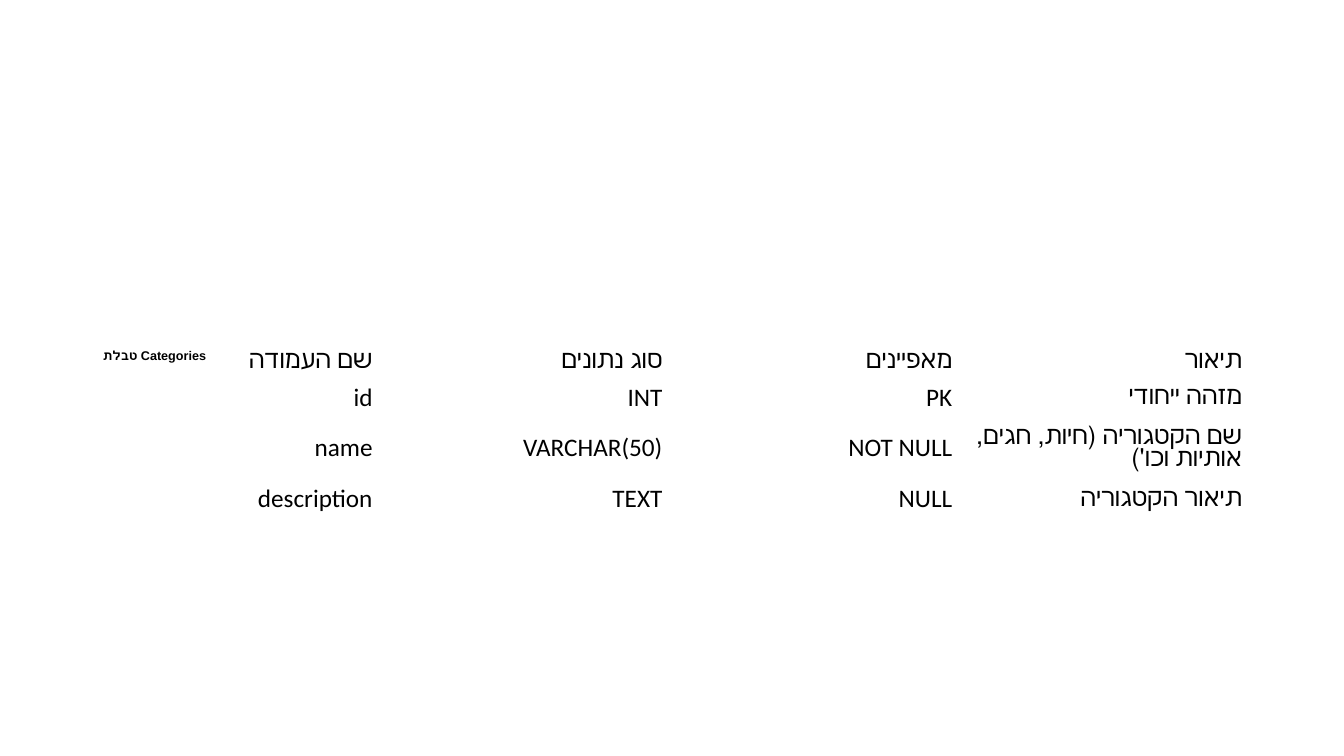
import pptx
import pptx.dml.color
import pptx.enum.text
import pptx.util

Inches = pptx.util.Inches
Points = pptx.util.Pt
COLORS = {"text": "000000"}
LEFT, TOP = 0.92, 3.43
TABLE_WIDTH = 11.5
ROW_HEIGHTS = (0.32, 0.38, 0.63, 0.38)
CATEGORY_ROWS = (
    ("שם העמודה", "סוג נתונים", "מאפיינים", "תיאור"),
    ("id", "INT", "PK", "מזהה ייחודי"),
    ("name", "VARCHAR(50)", "NOT NULL", "שם הקטגוריה (חיות, חגים, אותיות וכו')"),
    ("description", "TEXT", "NULL", "תיאור הקטגוריה"),
)


def format_paragraph(paragraph, font_name, size, bold=False):
    """Apply one font to every run of a paragraph."""
    for run in paragraph.runs:
        run.font.name = font_name
        run.font.size = Points(size)
        run.font.bold = bold
        run.font.color.rgb = pptx.dml.color.RGBColor.from_string(COLORS["text"])


def add_title(slide, text):
    """Place the small title beside the table's top left corner."""
    title = slide.shapes.title
    title.left, title.top = Inches(LEFT), Inches(TOP)
    title.width, title.height = Inches(13.33), Inches(0.5)
    text_frame = title.text_frame
    text_frame.text = text
    text_frame.word_wrap = True
    text_frame.auto_size = pptx.enum.text.MSO_AUTO_SIZE.NONE
    text_frame.vertical_anchor = pptx.enum.text.MSO_ANCHOR.TOP
    text_frame.margin_top = Inches(0.02)
    paragraph = text_frame.paragraphs[0]
    paragraph.alignment = pptx.enum.text.PP_ALIGN.LEFT
    format_paragraph(paragraph, "Arial", 9, bold=True)


def fill_cell(cell, text):
    """Write right-to-left text into a table cell without a fill."""
    cell.fill.background()
    cell.vertical_anchor = pptx.enum.text.MSO_ANCHOR.MIDDLE
    cell.text_frame.text = text
    paragraph = cell.text_frame.paragraphs[0]
    paragraph.alignment = pptx.enum.text.PP_ALIGN.RIGHT
    paragraph.line_spacing = 0.9
    paragraph._p.get_or_add_pPr().set("rtl", "1")
    format_paragraph(paragraph, "Calibri", 18)


def add_category_table(slide):
    """Add the table that describes the columns of Categories."""
    table = slide.shapes.add_table(
        len(CATEGORY_ROWS), len(CATEGORY_ROWS[0]), Inches(LEFT), Inches(TOP),
        Inches(TABLE_WIDTH), Inches(sum(ROW_HEIGHTS)),
    ).table
    table.first_row = False
    table.horz_banding = False
    for row, height, texts in zip(table.rows, ROW_HEIGHTS, CATEGORY_ROWS):
        row.height = Inches(height)
        for cell, text in zip(row.cells, texts):
            fill_cell(cell, text)


def main():
    """Build the slide and save it."""
    presentation = pptx.Presentation()
    presentation.slide_width = Inches(13.33)
    presentation.slide_height = Inches(7.5)
    slide = presentation.slides.add_slide(presentation.slide_layouts[5])
    add_category_table(slide)
    add_title(slide, "טבלת Categories")
    presentation.save("out.pptx")


if __name__ == "__main__":
    main()
